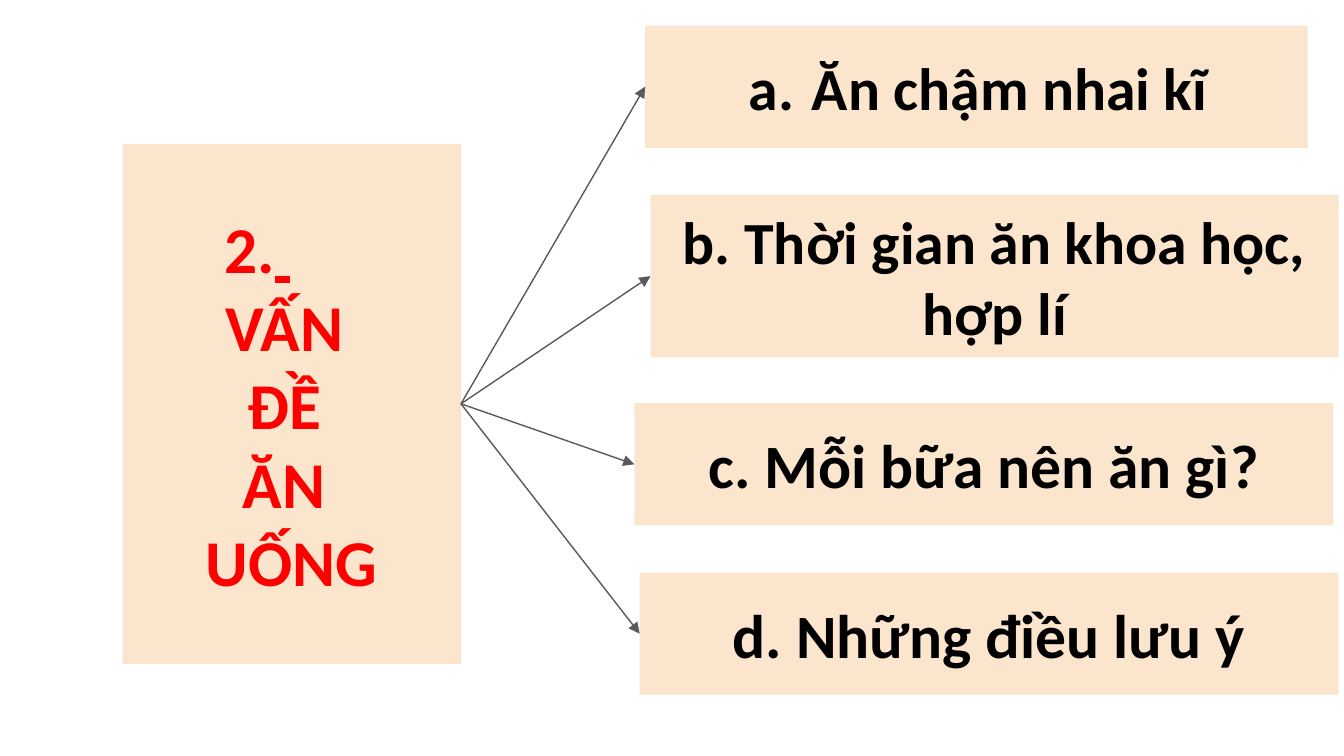
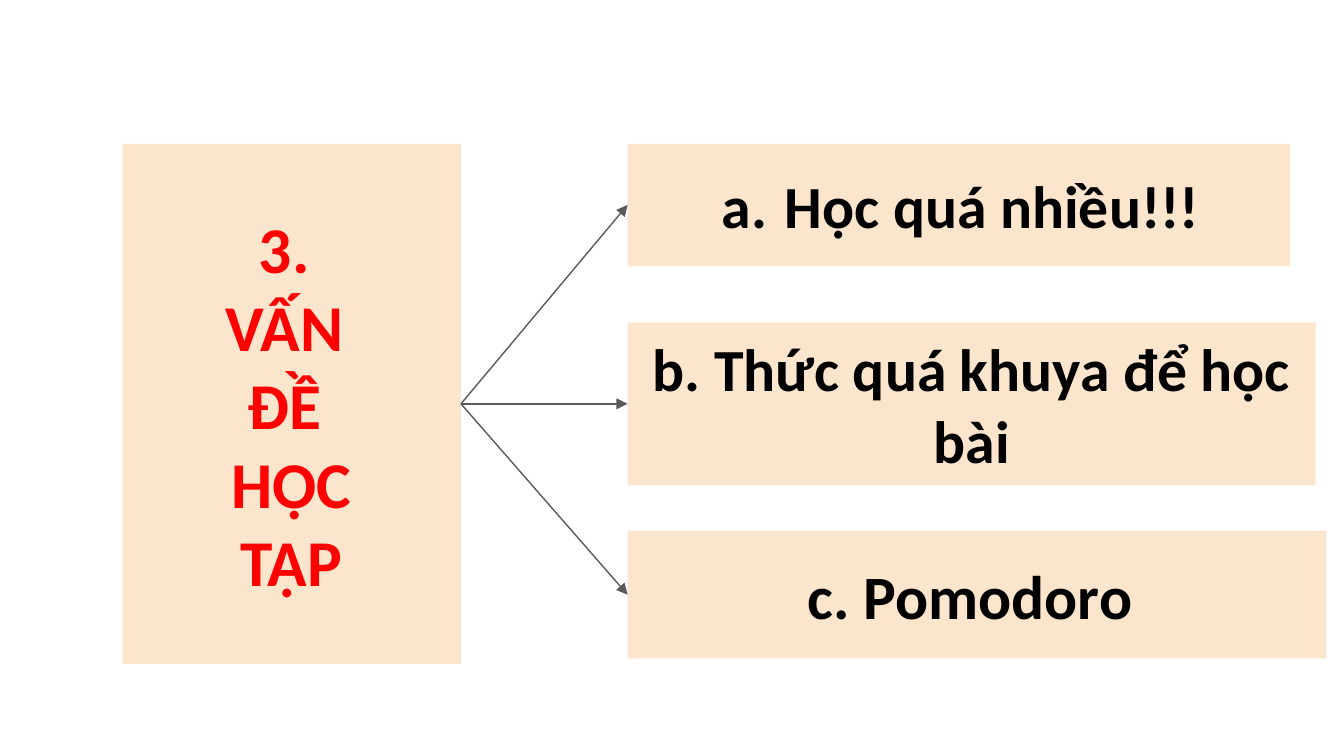
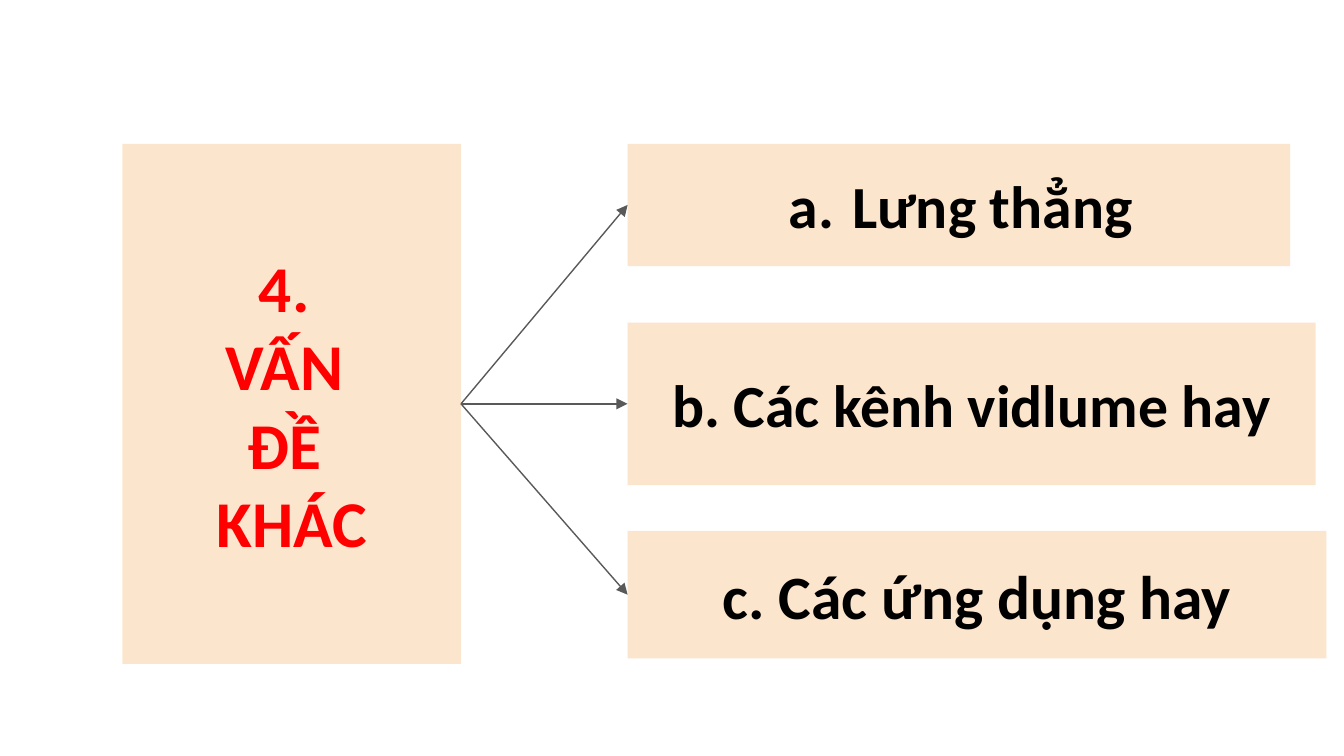
from lxml import etree
from pptx import Presentation
from pptx.dml.color import RGBColor
from pptx.enum.shapes import MSO_CONNECTOR, MSO_SHAPE
from pptx.enum.text import MSO_ANCHOR, PP_ALIGN
from pptx.oxml.ns import qn
from pptx.util import Inches, Pt

PEACH = RGBColor(0xFC, 0xE5, 0xCD)
RED = RGBColor(0xFF, 0x00, 0x00)
BLACK = RGBColor(0x00, 0x00, 0x00)
GREY = RGBColor(0x59, 0x59, 0x59)

RIGHT_SITE, LEFT_SITE = 3, 1
TOPIC_BOX = (0.91, 1.07, 2.52, 3.87)
FOUR_BOXES = [(4.8, 0.19, 4.93, 0.91), (4.84, 1.45, 5.12, 1.21),
              (4.72, 3, 5.2, 0.91), (4.76, 4.26, 5.2, 0.91)]
THREE_BOXES = [(4.67, 1.07, 4.93, 0.91), (4.67, 2.4, 5.12, 1.21),
               (4.67, 3.95, 5.2, 0.95)]
POINT_SIZES = [32, 32, 33, 33]

# Topic lines, point boxes, points; the first point is numbered "a." by its paragraph
SLIDES = [
    (["2.", "VẤN ", "ĐỀ ", "ĂN ", "UỐNG"], FOUR_BOXES,
     ["Ăn chậm nhai kĩ", "b. Thời gian ăn khoa học, hợp lí",
      "c. Mỗi bữa nên ăn gì?", "d. Những điều lưu ý"]),
    (["3. ", "VẤN ", "ĐỀ ", "HỌC", "TẬP"], THREE_BOXES,
     ["Học quá nhiều!!!", "b. Thức quá khuya để học bài", "c. Pomodoro "]),
    (["4. ", "VẤN ", "ĐỀ ", "KHÁC"], THREE_BOXES,
     ["Lưng thẳng", "b. Các kênh vidlume hay", "c. Các ứng dụng hay"]),
]


def add_run(p, text, size, color, underline=None):
    r = p.add_run()
    r.text = text
    style = {"name": "Calibri", "size": Pt(size), "bold": True, "underline": underline}
    for key, value in style.items():
        setattr(r.font, key, value)
    r.font.color.rgb = color


def add_box(s, box, lines, size, color):
    """Add a peach rectangle with one centred paragraph per line."""
    sp = s.shapes.add_shape(MSO_SHAPE.RECTANGLE, *map(Inches, box))
    sp.shadow.inherit = False
    sp.fill.solid()
    sp.fill.fore_color.rgb = PEACH
    sp.line.fill.background()
    tf = sp.text_frame
    tf.word_wrap = True
    tf.vertical_anchor = MSO_ANCHOR.MIDDLE
    for side in ("left", "top", "right", "bottom"):
        setattr(tf, f"margin_{side}", Inches(0.1))
    for i, line in enumerate(lines):
        p = tf.add_paragraph() if i else tf.paragraphs[0]
        p.alignment = PP_ALIGN.CENTER
        add_run(p, line, size, color)
    return sp


prs = Presentation()
prs.slide_width = Inches(10)
prs.slide_height = prs.slide_width * 9 // 16

for topic_lines, boxes, points in SLIDES:
    s = prs.slides.add_slide(prs.slide_layouts[6])
    topic = add_box(s, TOPIC_BOX, topic_lines, 35, RED)
    if topic_lines[0] == "2.":
        p = topic.text_frame.paragraphs[0]
        p._p.get_or_add_pPr().set("defTabSz", str(Inches(1)))
        add_run(p, " \t", 35, RED, underline=True)

    for i, (box, point, size) in enumerate(zip(boxes, points, POINT_SIZES)):
        sp = add_box(s, box, [point], size, BLACK)
        if i == 0:
            pPr = sp.text_frame.paragraphs[0]._p.get_or_add_pPr()
            pPr.set("marL", str(Inches(0.5)))
            pPr.set("indent", str(Inches(-0.47)))
            clr = etree.SubElement(pPr, qn("a:buClr"))
            etree.SubElement(clr, qn("a:srgbClr"), val=str(BLACK))
            etree.SubElement(pPr, qn("a:buFont"), typeface="Calibri")
            etree.SubElement(pPr, qn("a:buAutoNum"), type="alphaLcPeriod")

        arrow = s.shapes.add_connector(MSO_CONNECTOR.STRAIGHT, 0, 0, 0, 0)
        arrow.begin_connect(topic, RIGHT_SITE)
        arrow.end_connect(sp, LEFT_SITE)
        arrow.line.color.rgb = GREY
        arrow.line.width = Pt(0.75)
        spPr = arrow._element.spPr
        etree.SubElement(spPr.find(qn("a:ln")), qn("a:tailEnd"), type="triangle")
        etree.SubElement(spPr, qn("a:effectLst"))

prs.save("out.pptx")
